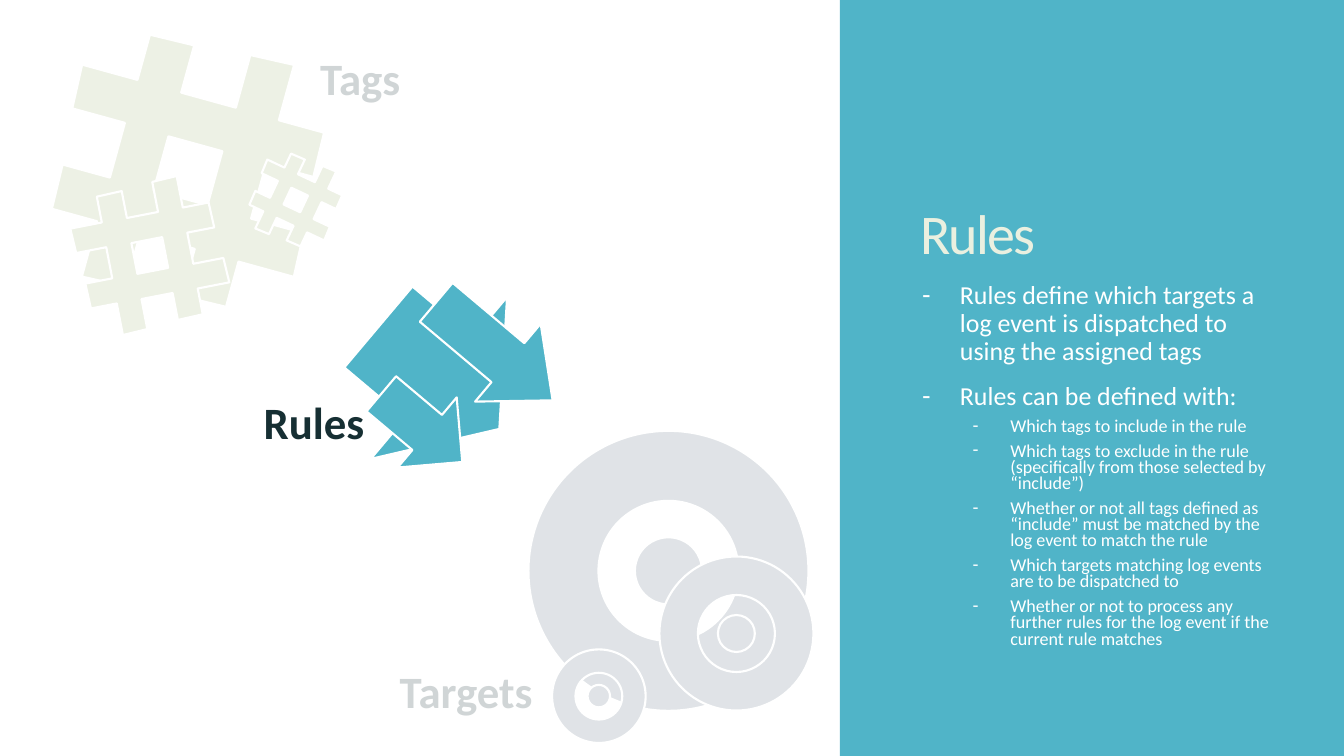
"""Build the Rules slide: tags, rules and targets illustrated beside a text panel."""
from math import cos, radians, sin

from lxml.etree import SubElement
from pptx import Presentation
from pptx.dml.color import RGBColor
from pptx.enum.shapes import MSO_SHAPE
from pptx.enum.text import MSO_ANCHOR, MSO_AUTO_SIZE, PP_ALIGN
from pptx.oxml.ns import qn
from pptx.util import Pt

COLORS = {
    "panel": "50B4C8",
    "heading": "EAF0E0",
    "white": "FFFFFF",
    "tag": "A8B97F",
    "target": "657689",
    "label": "162F33",
}


def paint(shape, color):
    """Give a shape a flat fill and a white outline."""
    shape.shadow.inherit = False
    shape.fill.solid()
    shape.fill.fore_color.rgb = RGBColor.from_string(COLORS[color])
    shape.line.color.rgb = RGBColor.from_string(COLORS["white"])
    shape.line.width = Pt(1.5)


def write(para, text, color, **formats):
    """Add a formatted span of text to a paragraph."""
    span = para.add_run()
    span.text = text
    span.font.name = "Calibri"
    span.font.color.rgb = RGBColor.from_string(COLORS[color])
    for name, value in formats.items():
        setattr(span.font, name, value)
    return span


deck = Presentation()
deck.slide_width, deck.slide_height = Pt(960), Pt(540)
page = deck.slides.add_slide(deck.slide_layouts[1])
title, body = page.placeholders

panel = page.shapes.add_shape(MSO_SHAPE.RECTANGLE, Pt(600), 0, Pt(360), Pt(540))
paint(panel, "panel")
panel.line.fill.background()
page.shapes._spTree.insert(2, panel._element)

for box, bounds, anchor in (
    (title, (650, 42.5, 266.5, 151), MSO_ANCHOR.BOTTOM),
    (body, (651.5, 198, 268, 288), MSO_ANCHOR.TOP),
):
    box.left, box.top, box.width, box.height = map(Pt, bounds)
    box.text_frame.word_wrap = True
    box.text_frame.auto_size = MSO_AUTO_SIZE.NONE
    box.text_frame.vertical_anchor = anchor

heading = title.text_frame.paragraphs[0]
heading.alignment = PP_ALIGN.LEFT
heading.line_spacing = 0.85
span = write(heading, "Rules", "heading", size=Pt(40), bold=False)
span.font._element.set("spc", "-120")

level_formats = [
    {"size": 18.5, "spacing": 0.9, "before": 12, "margin": 27},
    {"size": 12.9, "spacing": 0.75, "before": 6, "margin": 63},
]
bullets = [
    (0, "Rules define which targets a log event is dispatched to using the assigned tags"),
    (0, "Rules can be defined with:"),
    (1, "Which tags to include in the rule"),
    (1, "Which tags to exclude in the rule (specifically from those selected by “include”)"),
    (1, "Whether or not all tags defined as “include” must be matched by the log event "
        "to match the rule"),
    (1, "Which targets matching log events are to be dispatched to"),
    (1, "Whether or not to process any further rules for the log event if the current "
        "rule matches"),
]
for index, (level, text) in enumerate(bullets):
    style = level_formats[level]
    para = body.text_frame.add_paragraph() if index else body.text_frame.paragraphs[0]
    para.level = level
    para.alignment = PP_ALIGN.LEFT
    para.line_spacing = style["spacing"]
    para.space_before = Pt(style["before"] if index else 0)
    para.space_after = Pt(0)
    properties = para._p.get_or_add_pPr()
    properties.set("marL", str(Pt(style["margin"])))
    properties.set("indent", str(Pt(-27)))
    SubElement(properties, qn("a:buChar")).set("char", "-")
    write(para, text, "white", size=Pt(style["size"]))

hash_quarter = [(21, -91.5), (53, -93), (53, -52), (86.5, -52),
                (87.5, -19.5), (52.5, -19.5), (52.5, 21)]
hash_outline, hash_hole = [], []
for turn in range(4):
    c, s = [(1, 0), (0, 1), (-1, 0), (0, -1)][turn]
    hash_outline += [(x * c - y * s, x * s + y * c) for x, y in hash_quarter]
    hash_hole.append((-20 * c + 20 * s, -20 * s - 20 * c))

tags = page.shapes.add_group_shape()
for center_x, center_y, scale, angle in (
    (134.3, 122, 1, 15.4), (107, 182.5, 0.56, -11), (211.3, 142.9, 0.33, 25.2),
):
    c, s = scale * cos(radians(angle)), scale * sin(radians(angle))
    contours = [
        [(Pt(center_x + x * c - y * s), Pt(center_y + x * s + y * c)) for x, y in contour]
        for contour in (hash_outline, hash_hole)
    ]
    builder = tags.shapes.build_freeform(*contours[0][0])
    builder.add_line_segments(contours[0][1:], close=True)
    builder.move_to(*contours[1][0])
    builder.add_line_segments(contours[1][1:], close=True)
    paint(builder.convert_to_shape(), "tag")

targets = page.shapes.add_group_shape()
for center_x, center_y, radius in ((477.5, 407.75, 100), (526, 452.5, 55), (427.75, 497.25, 33.4)):
    for kind, reach in ((MSO_SHAPE.DONUT, radius), (MSO_SHAPE.OVAL, radius * 0.24)):
        ring = targets.shapes.add_shape(
            kind, Pt(center_x - reach), Pt(center_y - reach), Pt(2 * reach), Pt(2 * reach))
        if kind == MSO_SHAPE.DONUT:
            ring.adjustments[0] = 0.25
        paint(ring, "target")

for text, left, top in (("Tags", 170.6, 33), ("Targets", 246.2, 470.2), ("Rules", 137.5, 278.6)):
    box = page.shapes.add_textbox(Pt(left), Pt(top), Pt(173.5), Pt(46))
    box.text_frame.word_wrap = True
    para = box.text_frame.paragraphs[0]
    para.alignment = PP_ALIGN.CENTER
    write(para, text, "label", size=Pt(32), bold=True)

rules = page.shapes.add_group_shape()
for bounds, head in (
    ((257, 194.4, 113, 151.2), 0.5),
    ((298.8, 214.6, 108.7, 72.7), 0.574),
    ((263.5, 272.9, 75.6, 65.5), 0.5),
):
    arrow = rules.shapes.add_shape(MSO_SHAPE.RIGHT_ARROW, *map(Pt, bounds))
    arrow.adjustments[1] = head
    arrow.rotation = 40.1
    paint(arrow, "panel")

for outline in (
    [(26.6, 23), (249, 23), (249, 25.2), (357.8, 25.2),
     (357.8, 112.3), (249, 112.3), (249, 241.2), (26.6, 241.2)],
    [(368.6, 303.8), (584.6, 303.8), (584.6, 530.6),
     (272.9, 530.6), (272.9, 448.6), (368.6, 448.6)],
):
    corners = [(Pt(x), Pt(y)) for x, y in outline]
    builder = page.shapes.build_freeform(*corners[0])
    builder.add_line_segments(corners[1:], close=True)
    veil = builder.convert_to_shape()
    paint(veil, "white")
    tint = veil._element.spPr.find(qn("a:solidFill")).find(qn("a:srgbClr"))
    SubElement(tint, qn("a:alpha")).set("val", "80000")

deck.save("out.pptx")
